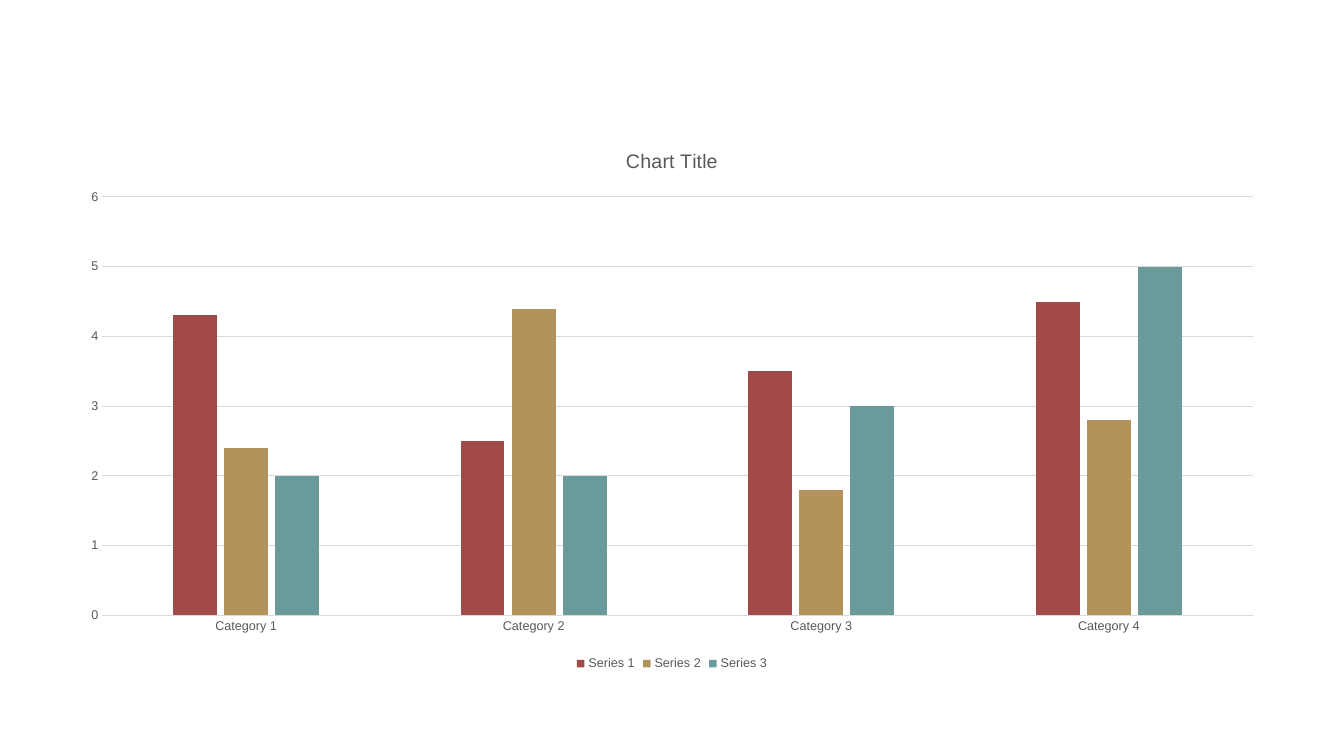
"""Builds a slide with one clustered column chart of three series."""
from pptx import Presentation
from pptx.chart.data import CategoryChartData
from pptx.dml.color import RGBColor
from pptx.enum.chart import XL_CHART_TYPE as ChartType, XL_LEGEND_POSITION as LegendPosition, XL_TICK_MARK as TickMark
from pptx.util import Inches, Pt

TITLE = "Chart Title"
CATEGORIES = ["Category 1", "Category 2", "Category 3", "Category 4"]
SERIES = {
    "Series 1": (4.3, 2.5, 3.5, 4.5),
    "Series 2": (2.4, 4.4, 1.8, 2.8),
    "Series 3": (2, 2, 3, 5),
}
COLORS = {
    "Series 1": "A24A48",
    "Series 2": "B2935C",
    "Series 3": "6A9A9A",
    "label": "595959",
    "rule": "D9D9D9",
}
FONT = "Arial"
WIDTH, HEIGHT = Inches(13.33), Inches(7.5)
LEFT, TOP, ACROSS, DOWN = 0.05, 0.17, 0.9, 0.723


def style_font(font, size):
    font.name, font.size, font.bold = FONT, Pt(size), False
    font.color.rgb = RGBColor.from_string(COLORS["label"])


def style_rule(line):
    line.color.rgb = RGBColor.from_string(COLORS["rule"])
    line.width = Pt(0.75)


def style_axes(chart):
    categories, values = chart.category_axis, chart.value_axis
    for axis in (categories, values):
        axis.major_tick_mark = axis.minor_tick_mark = TickMark.NONE
        style_font(axis.tick_labels.font, 9)
    style_rule(categories.format.line)
    values.format.line.fill.background()
    values.minimum_scale, values.maximum_scale, values.major_unit = 0, 6, 1
    values.has_major_gridlines = True
    style_rule(values.major_gridlines.format.line)


def style_columns(plot):
    plot.gap_width, plot.overlap = 325, -17
    plot.vary_by_categories = False
    for series in plot.series:
        series.format.fill.solid()
        series.format.fill.fore_color.rgb = RGBColor.from_string(COLORS[series.name])
        series.invert_if_negative = False


def add_columns(slide):
    data = CategoryChartData()
    data.categories = CATEGORIES
    for name, values in SERIES.items():
        data.add_series(name, values)
    frame = slide.shapes.add_chart(
        ChartType.COLUMN_CLUSTERED, int(WIDTH * LEFT), int(HEIGHT * TOP),
        int(WIDTH * ACROSS), int(HEIGHT * DOWN), data)
    chart = frame.chart
    style_font(chart.font, 10)
    chart.has_title = True
    heading = chart.chart_title.text_frame
    heading.text = TITLE
    style_font(heading.paragraphs[0].runs[0].font, 14)
    chart.chart_title.include_in_layout = False
    chart.has_legend = True
    chart.legend.position = LegendPosition.BOTTOM
    chart.legend.include_in_layout = False
    style_font(chart.legend.font, 9)
    style_axes(chart)
    style_columns(chart.plots[0])


def main():
    deck = Presentation()
    deck.slide_width, deck.slide_height = WIDTH, HEIGHT
    add_columns(deck.slides.add_slide(deck.slide_layouts[6]))
    deck.save("out.pptx")


if __name__ == "__main__":
    main()
